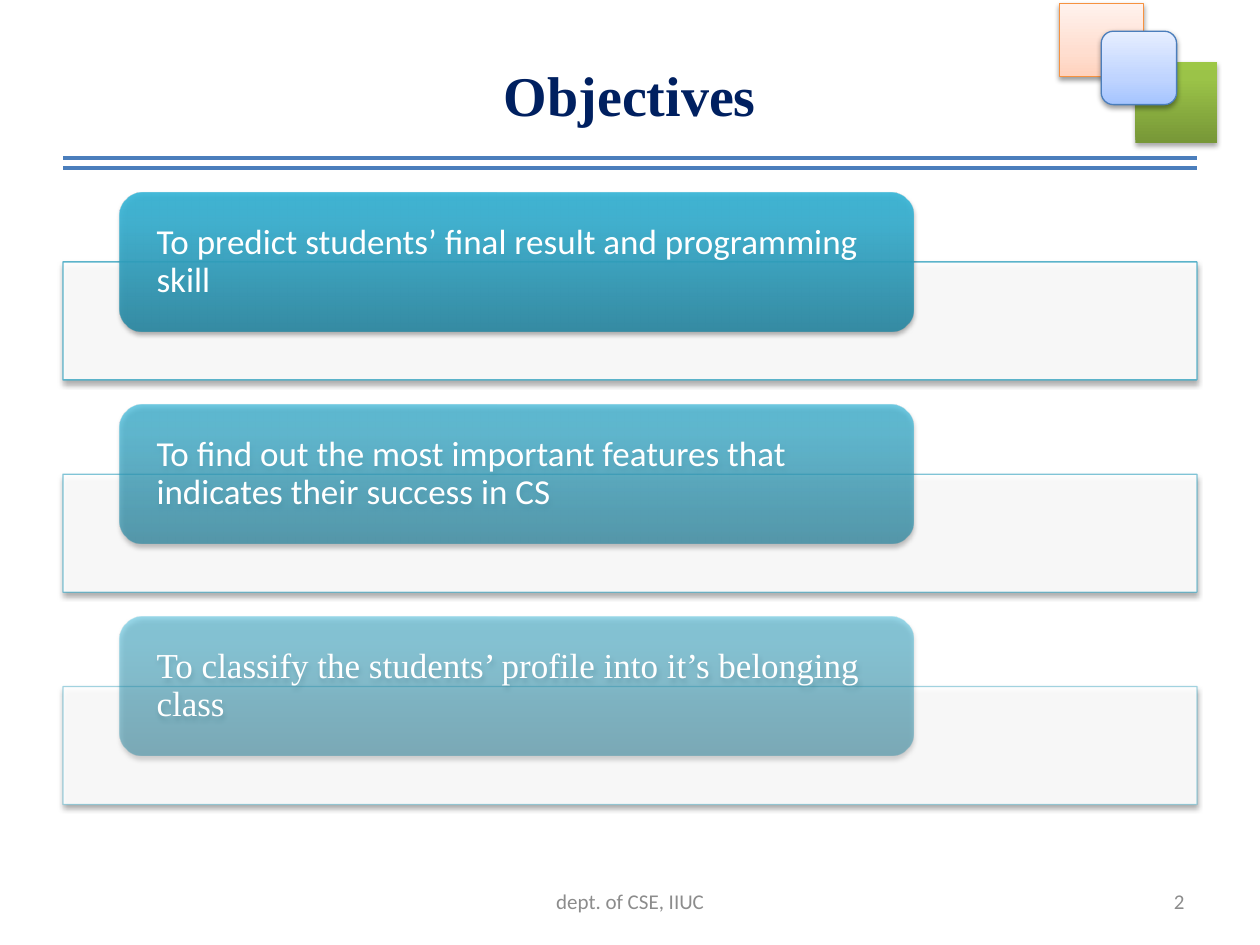
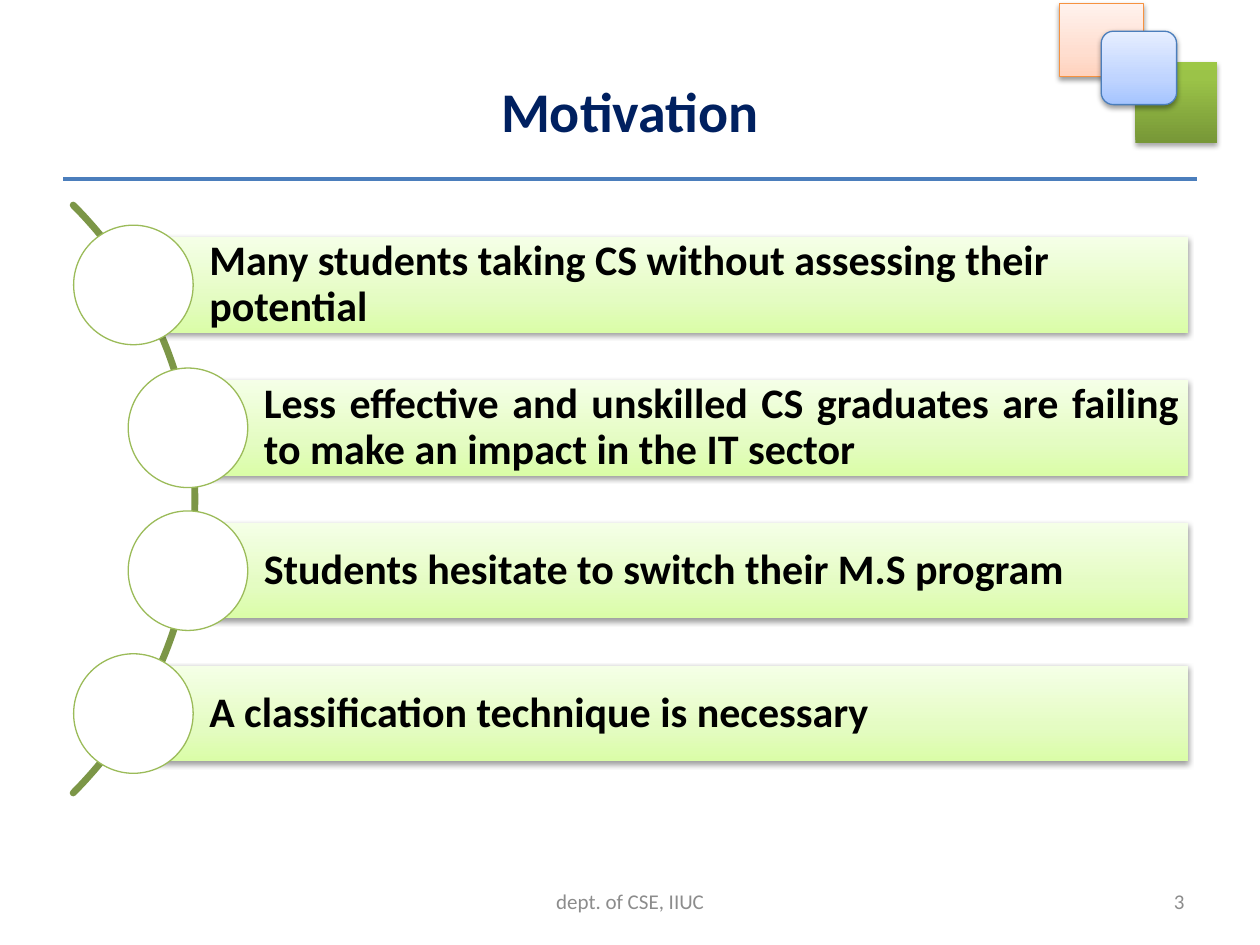
from math import cos, radians, sin

from lxml.etree import SubElement
from pptx import Presentation
from pptx.dml.color import RGBColor
from pptx.enum.shapes import MSO_CONNECTOR as CONN, MSO_SHAPE as SHAPE
from pptx.enum.text import MSO_ANCHOR as ANCHOR, PP_ALIGN as ALIGN
from pptx.oxml.ns import qn
from pptx.util import Cm, Pt

COLORS = {
    "title": "002060", "rule": "4B7EBC", "footer": "8C8C8C",
    "white": "FFFFFF", "black": "000000", "orange": "F69240",
    "teal": "4BACC6", "olive": "7C9647", "green": "9BBB59",
}
GRADIENTS = {  # (position in percent, colour), from bottom to top
    "peach": [(0, "FFD2BD"), (35, "FFDED0"), (100, "FFF2ED")],
    "leaf": [(0, "779737"), (80, "9BC348"), (100, "9DC746")],
    "sky": [(0, "A4C4FF"), (35, "BFD4FF"), (100, "E6EEFF")],
    "teal": [(0, "2A88A2"), (80, "37B1D2"), (100, "34B4D6")],
    "lime": [(0, "DAFDA7"), (35, "E4FCC2"), (100, "F5FFE7")],
}
SOFT = (38, 1.6)  # shadow opacity in percent, distance in points
DEEP = (35, 1.8)
SANS, SERIF = "Calibri", "Times New Roman"
LEFT, WIDTH = 1.27, 22.86


def rgb(name):
    return RGBColor.from_string(COLORS[name])


def set_alpha(parent, percent):
    """Make the first colour below parent partly transparent."""
    color = next(parent.iter(qn("a:srgbClr")))
    SubElement(color, qn("a:alpha"), val=str(percent * 1000))


class Deck:
    def __init__(self):
        self.prs = Presentation()
        self.prs.slide_width, self.prs.slide_height = Cm(25.4), Cm(19.05)
        self.s = None

    # Elements
    def label(self, sp, text, size, color, font=SANS, bold=False,
              align=ALIGN.LEFT, insets=(0.25, 0.13, 0.25, 0.13), spacing=None):
        tf = sp.text_frame
        tf.text, tf.word_wrap, tf.vertical_anchor = text, True, ANCHOR.MIDDLE
        tf.margin_left, tf.margin_top, tf.margin_right, tf.margin_bottom = map(Cm, insets)
        p = tf.paragraphs[0]
        p.alignment, p.line_spacing = align, spacing
        r = p.runs[0]
        r.font.name, r.font.size, r.font.bold = font, Pt(size), bold
        r.font.color.rgb = rgb(color)

    def text(self, box, text, size, color, **style):
        sp = self.s.shapes.add_textbox(*map(Cm, box))
        self.label(sp, text, size, color, **style)

    def shape(self, kind, box, fill=None, gradient=None, line=None,
              shadow=None, alpha=100, line_alpha=100):
        sp = self.s.shapes.add_shape(kind, *map(Cm, box))
        if gradient:
            self.gradient(sp, GRADIENTS[gradient], alpha)
        else:
            sp.fill.solid()
            sp.fill.fore_color.rgb = rgb(fill)
            if alpha < 100:
                set_alpha(sp._element.spPr.find(qn("a:solidFill")), alpha)
        if line:
            sp.line.color.rgb, sp.line.width = rgb(line), Pt(0.75)
            if line_alpha < 100:
                set_alpha(sp._element.spPr.find(qn("a:ln")), line_alpha)
        else:
            sp.line.fill.background()
        sp.shadow.inherit = False
        if shadow:
            self.shadow(sp, *shadow)
        return sp

    def gradient(self, sp, stops, alpha):
        sp.fill.gradient()
        sp.fill.gradient_angle = 90
        stop_list = sp._element.spPr.find(qn("a:gradFill")).find(qn("a:gsLst"))
        for old in list(stop_list):
            stop_list.remove(old)
        for pos, color in stops:
            stop = SubElement(stop_list, qn("a:gs"), pos=str(pos * 1000))
            SubElement(stop, qn("a:srgbClr"), val=color)
            if alpha < 100:
                set_alpha(stop, alpha)

    def shadow(self, sp, opacity, distance):
        effects = sp._element.spPr.find(qn("a:effectLst"))
        outer = SubElement(effects, qn("a:outerShdw"), blurRad=str(Pt(3.1)),
                           dist=str(Pt(distance)), dir="5400000", rotWithShape="0")
        SubElement(outer, qn("a:srgbClr"), val=COLORS["black"])
        set_alpha(outer, opacity)

    def rule(self, y):
        c = self.s.shapes.add_connector(CONN.STRAIGHT, Cm(LEFT), Cm(y),
                                        Cm(LEFT + WIDTH), Cm(y))
        c.line.color.rgb, c.line.width = rgb("rule"), Pt(2.25)
        SubElement(c._element.spPr, qn("a:effectLst"))

    def arc(self, cx, cy, radius, half_angle):
        points = [(Cm(cx + radius * cos(radians(a))), Cm(cy + radius * sin(radians(a))))
                  for a in range(-half_angle, half_angle + 1)]
        builder = self.s.shapes.build_freeform(*points[0])
        builder.add_line_segments(points[1:], close=False)
        sp = builder.convert_to_shape()
        sp.fill.background()
        sp.line.color.rgb, sp.line.width = rgb("olive"), Pt(3.9)
        sp._element.spPr.find(qn("a:ln")).set("cap", "rnd")
        sp.shadow.inherit = False

    # Shared frame of every slide
    def new_slide(self, title, number, title_top, rules, font=SANS):
        self.s = self.prs.slides.add_slide(self.prs.slide_layouts[6])
        self.text((LEFT, title_top, WIDTH, 3.18), title, 32, "title",
                  font=font, bold=True, align=ALIGN.CENTER)
        for y in rules:
            self.rule(y)
        self.shape(SHAPE.RECTANGLE, (21.36, 0.07, 1.7, 1.48),
                   gradient="peach", line="orange", shadow=SOFT)
        self.shape(SHAPE.RECTANGLE, (22.89, 1.25, 1.65, 1.63),
                   gradient="leaf", shadow=DEEP)
        self.shape(SHAPE.ROUNDED_RECTANGLE, (22.2, 0.63, 1.52, 1.48),
                   gradient="sky", line="rule", shadow=SOFT)
        self.text((8.68, 17.65, 8.05, 1.02), "dept. of CSE, IIUC", 12, "footer",
                  align=ALIGN.CENTER)
        self.text((18.21, 17.65, 5.92, 1.02), str(number), 12, "footer",
                  align=ALIGN.RIGHT)

    # List items
    def objective(self, row, text, font):
        top = 3.88 + 4.28 * row
        alpha = 90 - 20 * row
        self.shape(SHAPE.RECTANGLE, (LEFT, top + 1.4, WIDTH, 2.38), fill="white",
                   line="teal", shadow=DEEP, alpha=90, line_alpha=alpha)
        tab = self.shape(SHAPE.ROUNDED_RECTANGLE, (2.41, top, 16, 2.8),
                         gradient="teal", shadow=DEEP, alpha=alpha)
        self.label(tab, text, 20, "white", font=font,
                   insets=(0.61, 0, 0.61, 0), spacing=0.9)

    def motive(self, row, text, left, align):
        top, right, diameter = 4.78 + 2.88 * row, 23.96, 2.41
        bar = self.shape(SHAPE.RECTANGLE, (left, top, right - left, 1.93),
                         gradient="lime", shadow=SOFT)
        self.label(bar, text, 24, "black", bold=True, align=align,
                   insets=(1.53, 0.18, 0.18, 0.18), spacing=0.9)
        self.shape(SHAPE.OVAL, (left - diameter / 2, top - 0.24, diameter, diameter),
                   fill="white", line="green")


def main():
    deck = Deck()

    # Objectives
    deck.new_slide("Objectives", 2, title_top=0.3, rules=(3.18, 3.38), font=SERIF)
    objectives = [
        ("To predict students’ final result and programming skill", SANS),
        ("To find out the most important features that indicates their success in CS", SANS),
        ("To classify the students’ profile into it’s belonging class", SERIF),
    ]
    for row, (text, font) in enumerate(objectives):
        deck.objective(row, text, font)

    # Motivation
    deck.new_slide("Motivation", 3, title_top=0.64, rules=(3.61,))
    deck.arc(-4.45, 10.06, 8.38, 45)
    outer, inner = 2.69, 3.79
    motives = [
        ("Many students taking CS without assessing their potential", outer, ALIGN.LEFT),
        ("Less effective and unskilled CS graduates are failing to make an impact "
         "in the IT sector", inner, ALIGN.JUSTIFY),
        ("Students hesitate to switch their M.S program", inner, ALIGN.JUSTIFY),
        ("A classification technique is necessary", outer, ALIGN.JUSTIFY),
    ]
    for row, (text, left, align) in enumerate(motives):
        deck.motive(row, text, left, align)

    deck.prs.save("out.pptx")


if __name__ == "__main__":
    main()
